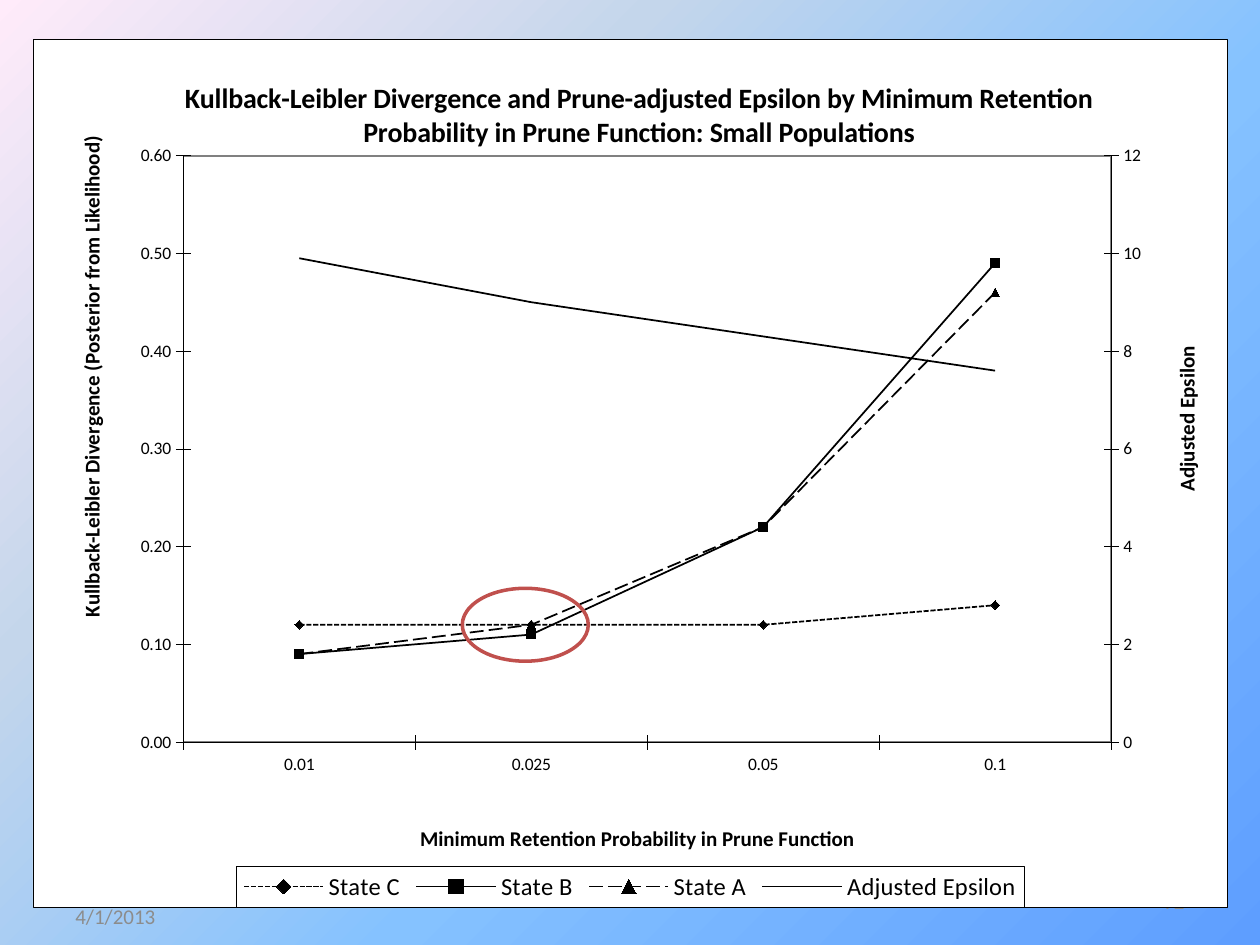
from copy import deepcopy

from lxml import etree
from pptx import Presentation
from pptx.chart.data import CategoryChartData
from pptx.dml.color import RGBColor
from pptx.enum.chart import XL_CHART_TYPE as ChartType, XL_LEGEND_POSITION as LegendPosition
from pptx.enum.chart import XL_MARKER_STYLE as Marker, XL_TICK_MARK as TickMark
from pptx.enum.dml import MSO_LINE_DASH_STYLE as Dash
from pptx.enum.shapes import MSO_SHAPE
from pptx.enum.text import MSO_ANCHOR, PP_ALIGN
from pptx.oxml import parse_xml
from pptx.oxml.ns import nsdecls, qn
from pptx.util import Cm, Pt

# Content
TITLE = ("Kullback-Leibler Divergence and Prune-adjusted Epsilon by Minimum Retention "
         "Probability in Prune Function: Small Populations")
CATEGORY_TITLE = "Minimum Retention Probability in Prune Function"
DIVERGENCE_TITLE = "Kullback-Leibler Divergence (Posterior from Likelihood)"
EPSILON_TITLE = "Adjusted Epsilon"
CATEGORIES = ["0.01", "0.025", "0.05", "0.1"]
SERIES = [  # name, values, dash, marker
    ("State C", (0.12, 0.12, 0.12, 0.14), Dash.SQUARE_DOT, Marker.DIAMOND),
    ("State B", (0.09, 0.11, 0.22, 0.49), Dash.SOLID, Marker.SQUARE),
    ("State A", (0.09, 0.12, 0.22, 0.46), Dash.LONG_DASH, Marker.TRIANGLE),
    ("Adjusted Epsilon", (9.9, 9, 8.3, 7.6), Dash.SOLID, Marker.NONE),
]
FOOTERS = [  # text, left, top, alignment
    ("92", 18.21, 17.65, PP_ALIGN.RIGHT),
    ("4/1/2013", 1.27, 17.96, PP_ALIGN.LEFT),
]
BACKGROUND = [(0, "5E9EFF"), (40, "85C2FF"), (70, "C4D6EB"), (100, "FFEBFA")]
FONT = "Calibri"
BLACK = RGBColor(0x00, 0x00, 0x00)
GRAY = RGBColor(0x8C, 0x8C, 0x8C)
RED = RGBColor(0xC0, 0x50, 0x4D)


def add_footer(slide, text, left, top, alignment):
    box = slide.shapes.add_textbox(Cm(left), Cm(top), Cm(5.92), Cm(1.02))
    frame = box.text_frame
    frame.word_wrap = True
    frame.vertical_anchor = MSO_ANCHOR.MIDDLE
    frame.text = text
    paragraph = frame.paragraphs[0]
    paragraph.alignment = alignment
    font = paragraph.runs[0].font
    font.name, font.size, font.color.rgb = FONT, Pt(12), GRAY


def set_background(slide):
    slide.background.fill.gradient()
    gradient = slide.element.find(".//" + qn("a:gradFill"))
    for child in list(gradient):
        gradient.remove(child)
    stops = etree.SubElement(gradient, qn("a:gsLst"))
    for position, color in BACKGROUND:
        stop = etree.SubElement(stops, qn("a:gs"), pos=str(position * 1000))
        etree.SubElement(stop, qn("a:srgbClr"), val=color)
    circle = etree.SubElement(gradient, qn("a:path"), path="circle")
    etree.SubElement(circle, qn("a:fillToRect"), l="100000", t="100000")


def frame_properties(line_color, points):
    return parse_xml(
        f'<c:spPr {nsdecls("c", "a")}><a:solidFill><a:srgbClr val="FFFFFF"/></a:solidFill>'
        f'<a:ln w="{Pt(points)}"><a:solidFill><a:srgbClr val="{line_color}"/></a:solidFill>'
        "</a:ln></c:spPr>")


def set_layout(parent, after, x, y, w=None, h=None, inner=False):
    """Place a chart part at fractions of the chart, behind the child named after."""
    for old in parent.findall(qn("c:layout")):
        parent.remove(old)
    layout = etree.Element(qn("c:layout"))
    manual = etree.SubElement(layout, qn("c:manualLayout"))
    if inner:
        etree.SubElement(manual, qn("c:layoutTarget"), val="inner")
    for mode in ("xMode", "yMode"):
        etree.SubElement(manual, qn("c:" + mode), val="edge")
    for key, value in (("x", x), ("y", y), ("w", w), ("h", h)):
        if value is not None:
            etree.SubElement(manual, qn("c:" + key), val=str(value))
    if after:
        parent.find(qn(after)).addnext(layout)
    else:
        parent.insert(0, layout)


def set_title(title, text, size, x, y):
    title.text_frame.text = text
    font = title.text_frame.paragraphs[0].runs[0].font
    font.name, font.size, font.bold, font.color.rgb = FONT, Pt(size), True, BLACK
    set_layout(title.element, "c:tx", x, y)


def style_axis(axis, title, x, y):
    axis.has_major_gridlines = False
    axis.major_tick_mark = TickMark.CROSS
    axis.minor_tick_mark = TickMark.NONE
    axis.format.line.color.rgb = BLACK
    axis.format.line.width = Pt(0.25)
    set_title(axis.axis_title, title, 12, x, y)


def add_right_axis(plot_area):
    """Move the last series to a second line chart with its own value axis."""
    left_chart = plot_area.find(qn("c:lineChart"))
    right_chart = deepcopy(left_chart)
    left_chart.remove(left_chart.findall(qn("c:ser"))[-1])
    for series in right_chart.findall(qn("c:ser"))[:-1]:
        right_chart.remove(series)
    left_chart.addnext(right_chart)

    category_axis = deepcopy(plot_area.find(qn("c:catAx")))
    value_axis = deepcopy(plot_area.find(qn("c:valAx")))
    for axis, own, other in ((category_axis, "5001", "5002"), (value_axis, "5002", "5001")):
        axis.find(qn("c:axId")).set("val", own)
        axis.find(qn("c:crossAx")).set("val", other)
    for axis_id, value in zip(right_chart.findall(qn("c:axId")), ("5001", "5002")):
        axis_id.set("val", value)
    category_axis.remove(category_axis.find(qn("c:title")))
    category_axis.find(qn("c:delete")).set("val", "1")

    for tag, value in (("c:scaling/c:max", "12"), ("c:majorUnit", "2"),
                       ("c:axPos", "r"), ("c:crosses", "max")):
        value_axis.find("/".join(qn(part) for part in tag.split("/"))).set("val", value)
    value_axis.find(qn("c:numFmt")).set("formatCode", "0")
    title = value_axis.find(qn("c:title"))
    title.find(".//" + qn("a:t")).text = EPSILON_TITLE
    set_layout(title, "c:tx", 0.951, 0.349)
    plot_area.find(qn("c:valAx")).addnext(value_axis)
    value_axis.addnext(category_axis)


def add_divergence_chart(slide):
    data = CategoryChartData()
    data.categories = CATEGORIES
    for name, values, _, _ in SERIES:
        data.add_series(name, values)
    chart = slide.shapes.add_chart(ChartType.LINE_MARKERS, Cm(0.66), Cm(0.79),
                                   Cm(24.08), Cm(17.5), data).chart
    chart.font.name, chart.font.size, chart.font.color.rgb = FONT, Pt(10), BLACK
    set_title(chart.chart_title, TITLE, 16, 0.123, 0.04)

    # Series
    plot = chart.plots[0]
    plot.vary_by_categories = False
    for series, (_, _, dash, marker) in zip(plot.series, SERIES):
        series.smooth = False
        line = series.format.line
        line.color.rgb, line.width, line.dash_style = BLACK, Pt(1), dash
        series.marker.style = marker
        if marker != Marker.NONE:
            series.marker.size = 5
            series.marker.format.fill.solid()
            series.marker.format.fill.fore_color.rgb = BLACK
            series.marker.format.line.color.rgb = BLACK

    # Axes
    style_axis(chart.category_axis, CATEGORY_TITLE, 0.321, 0.9)
    left_axis = chart.value_axis
    style_axis(left_axis, DIVERGENCE_TITLE, 0.034, 0.107)
    left_axis.minimum_scale, left_axis.maximum_scale, left_axis.major_unit = 0, 0.6, 0.1
    left_axis.tick_labels.number_format = "0.00"
    left_axis.tick_labels.number_format_is_linked = False
    value_element = chart.element.find(".//" + qn("c:valAx"))
    if value_element.find(qn("c:crossBetween")) is None:
        between = etree.Element(qn("c:crossBetween"), val="between")
        value_element.find(qn("c:crosses")).addnext(between)

    # Legend
    chart.has_legend = True
    chart.legend.position = LegendPosition.BOTTOM
    chart.legend.include_in_layout = False
    legend_font = chart.legend.font
    legend_font.name, legend_font.size, legend_font.color.rgb = FONT, Pt(14), BLACK
    legend = chart.element.find(".//" + qn("c:legend"))
    set_layout(legend, "c:legendPos", 0.17, 0.953, 0.66, 0.047)
    legend.find(qn("c:overlay")).addnext(frame_properties(BLACK, 0.25))

    # Plot area and chart frame
    plot_area = chart.element.find(".//" + qn("c:plotArea"))
    set_layout(plot_area, None, 0.126, 0.134, 0.777, 0.676, inner=True)
    add_right_axis(plot_area)
    plot_area.append(frame_properties("808080", 1))
    chart.element.find(qn("c:chart")).addnext(frame_properties(BLACK, 0.25))


def add_highlight(slide):
    ellipse = slide.shapes.add_shape(MSO_SHAPE.OVAL, Cm(9.32), Cm(11.86), Cm(2.54), Cm(1.47))
    ellipse.shadow.inherit = False
    ellipse.fill.background()
    ellipse.line.color.rgb = RED
    ellipse.line.width = Pt(2)


def main():
    presentation = Presentation()
    presentation.slide_width, presentation.slide_height = Cm(25.4), Cm(19.05)
    slide = presentation.slides.add_slide(presentation.slide_layouts[6])
    set_background(slide)
    page_number, date = FOOTERS
    add_footer(slide, *page_number)
    add_divergence_chart(slide)
    add_highlight(slide)
    add_footer(slide, *date)
    presentation.save("out.pptx")


if __name__ == "__main__":
    main()
